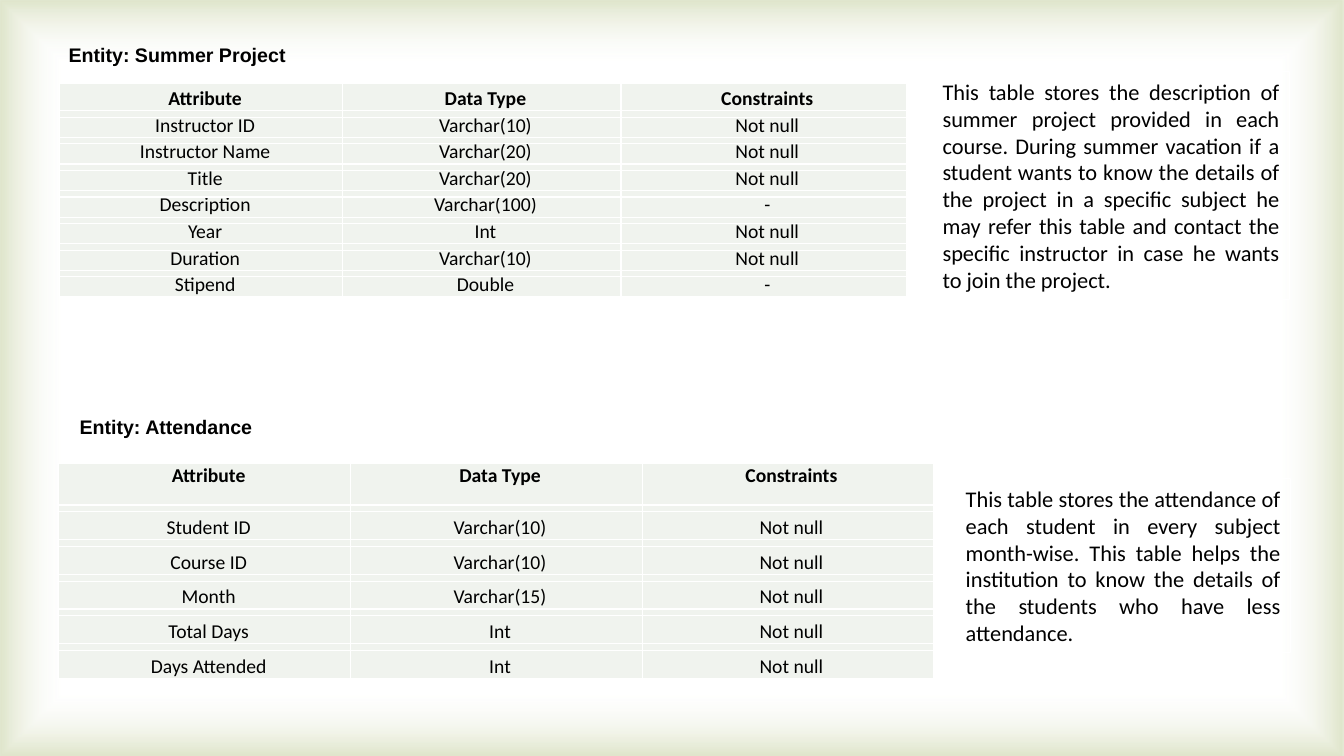
import pptx
import pptx.util
import pptx.dml.color
import pptx.enum.text
import pptx.enum.shapes
import lxml.etree

BLACK = pptx.dml.color.RGBColor(0x00, 0x00, 0x00)
WHITE = pptx.dml.color.RGBColor(0xFF, 0xFF, 0xFF)
PALE = pptx.dml.color.RGBColor(0xF0, 0xF3, 0xEE)
EDGE = pptx.dml.color.RGBColor(0xDF, 0xE5, 0xCA)
ALIGN = pptx.enum.text.PP_ALIGN
ANCHOR = pptx.enum.text.MSO_ANCHOR
RECT = pptx.enum.shapes.MSO_SHAPE.RECTANGLE
SPACE = "http://schemas.openxmlformats.org/drawingml/2006/main"
UNIT = pptx.util.Inches(0.1)


def grid(*cells):
    return [round(cell * UNIT) for cell in cells]


def write(frame, text, size=14, font="Calibri", bold=False, align=ALIGN.LEFT, line=None, indent=0):
    para = frame.paragraphs[0]
    para.alignment = align
    if line:
        para.line_spacing = pptx.util.Pt(line)
    if indent:
        para._p.get_or_add_pPr().set("marL", str(grid(indent)[0]))
    run = para.add_run()
    run.text = text
    run.font.size = pptx.util.Pt(size)
    run.font.name = font
    run.font.bold = bold
    run.font.color.rgb = BLACK


deck = pptx.Presentation()
deck.slide_width, deck.slide_height = grid(133.3, 75)
slide = deck.slides.add_slide(deck.slide_layouts[5])
shapes = slide.shapes

glow = shapes.add_shape(RECT, 0, 0, deck.slide_width, deck.slide_height)
glow.shadow.inherit = False
glow.line.fill.background()
glow.fill.background()
blank = glow._element.spPr.find(f"{{{SPACE}}}noFill")
blank.getparent().replace(blank, lxml.etree.fromstring(
    f'<a:gradFill xmlns:a="{SPACE}" rotWithShape="1"><a:gsLst>'
    f'<a:gs pos="83000"><a:srgbClr val="{WHITE}"><a:alpha val="11000"/></a:srgbClr></a:gs>'
    f'<a:gs pos="100000"><a:srgbClr val="{EDGE}"/></a:gs></a:gsLst>'
    '<a:path path="rect"><a:fillToRect l="50000" t="50000" r="50000" b="50000"/></a:path>'
    '</a:gradFill>'))
shapes._spTree.remove(glow._element)
shapes._spTree.insert(2, glow._element)

HEAD = ("Attribute", "Data Type", "Constraints")
summer = dict(
    title="Entity: Summer Project", label=(5.8, 3.8, 23.7, 3.4),
    place=(5.9, 8.3, 84.1, 21.3), cols=(28.1, 27.6, 28.3),
    first=2.7, high=2, gap=0.64, lift=0,
    rows=[
        ("Instructor ID", "Varchar(10)", "Not null"),
        ("Instructor Name", "Varchar(20)", "Not null"),
        ("Title", "Varchar(20)", "Not null"),
        ("Description", "Varchar(100)", "-"),
        ("Year", "Int", "Not null"),
        ("Duration", "Varchar(10)", "Not null"),
        ("Stipend", "Double", "-"),
    ],
    side=(92.5, 7.1, 35.4, 22.6),
    note="This table stores the description of summer project provided in each course. "
         "During summer vacation if a student wants to know the details of the project in a "
         "specific subject he may refer this table and contact the specific instructor in "
         "case he wants to join the project.")
attend = dict(
    title="Entity: Attendance", label=(6.9, 40.7, 19.2, 3.4),
    place=(5.8, 46, 86.8, 21.3), cols=(29, 28.9, 28.9),
    first=4.1, high=2.76, gap=0.68, lift=1.7,
    rows=[
        ("Student ID", "Varchar(10)", "Not null"),
        ("Course ID", "Varchar(10)", "Not null"),
        ("Month", "Varchar(15)", "Not null"),
        ("Total Days", "Int", "Not null"),
        ("Days Attended", "Int", "Not null"),
    ],
    side=(94.8, 47.5, 33.2, 17.2),
    note="This table stores the attendance of each student in every subject month-wise. "
         "This table helps the institution to know the details of the students who have "
         "less attendance.")

for part in (summer, attend):
    if part is summer:
        label = shapes.title
        label.left, label.top, label.width, label.height = grid(*part["label"])
    else:
        label = shapes.add_textbox(*grid(*part["label"]))
    label.text_frame.word_wrap = False
    label.text_frame.auto_size = pptx.enum.text.MSO_AUTO_SIZE.NONE
    label.text_frame.vertical_anchor = ANCHOR.TOP
    write(label.text_frame, part["title"], font="Arial", bold=True)

    lines = [HEAD] + part["rows"]
    table = shapes.add_table(2 * len(lines) - 1, len(HEAD), *grid(*part["place"])).table
    table.first_row = table.horz_banding = False
    for col, width in zip(table.columns, part["cols"]):
        col.width = grid(width)[0]
    for r, row in enumerate(table.rows):
        high = part["gap"] if r % 2 else part["high"] if r else part["first"]
        row.height = grid(high)[0]
        for c, cell in enumerate(row.cells):
            cell.margin_left = cell.margin_right = cell.margin_top = cell.margin_bottom = 0
            cell.vertical_anchor = ANCHOR.BOTTOM
            if r % 2:
                end = lxml.etree.SubElement(cell.text_frame.paragraphs[0]._p, f"{{{SPACE}}}endParaRPr")
                end.set("sz", "200")
            else:
                write(cell.text_frame, lines[r // 2][c], bold=r == 0, align=ALIGN.CENTER,
                      line=12.1 if r else 13.1, indent=0.7 if c else 0.8)
            if r == 0:
                cell.margin_bottom = grid(part["lift"])[0]
            props = cell._tc.get_or_add_tcPr()
            for edge in ("lnL", "lnR", "lnT", "lnB"):
                props.append(lxml.etree.fromstring(
                    f'<a:{edge} xmlns:a="{SPACE}" w="12700"><a:solidFill>'
                    f'<a:srgbClr val="{WHITE}"/></a:solidFill></a:{edge}>'))
            cell.fill.solid()
            cell.fill.fore_color.rgb = PALE

    side = shapes.add_shape(RECT, *grid(*part["side"]))
    side.shadow.inherit = False
    side.fill.background()
    side.line.color.rgb = WHITE
    side.line.width = pptx.util.Pt(0.75)
    side.text_frame.word_wrap = True
    side.text_frame.vertical_anchor = ANCHOR.MIDDLE
    write(side.text_frame, part["note"], size=16, align=ALIGN.JUSTIFY)

deck.save("out.pptx")
